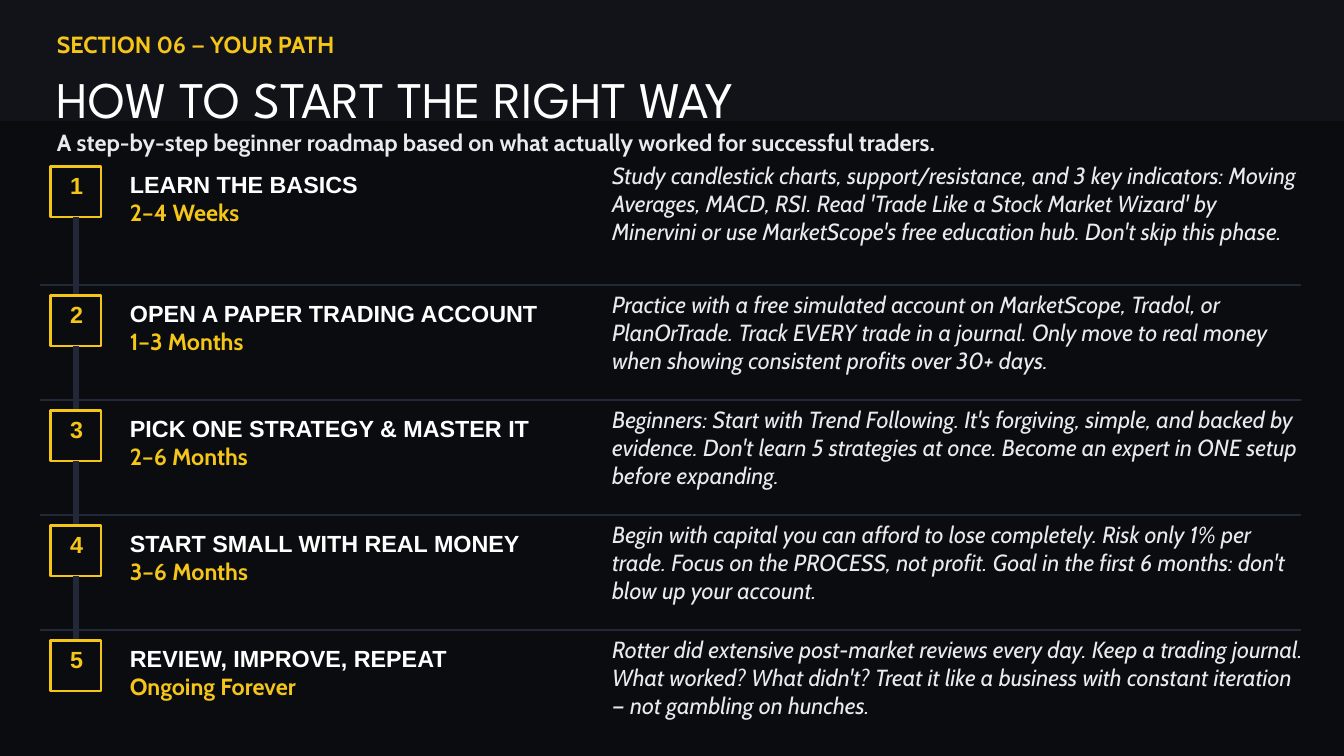
from collections import namedtuple

from lxml import etree
from pptx import Presentation
from pptx.dml.color import RGBColor
from pptx.enum.shapes import MSO_CONNECTOR as Connector, MSO_SHAPE as Shape
from pptx.enum.text import MSO_ANCHOR as Anchor, PP_ALIGN as Align
from pptx.oxml.ns import qn
from pptx.util import Pt

NIGHT = RGBColor(0x0A, 0x0C, 0x10)
BAND = RGBColor(0x11, 0x13, 0x18)
SLATE = RGBColor(0x23, 0x28, 0x38)
GOLD = RGBColor(0xF5, 0xC5, 0x18)
WHITE = RGBColor(0xFF, 0xFF, 0xFF)
MIST = RGBColor(0xE8, 0xEA, 0xF0)

Box = namedtuple("Box", "left top width height")

SLIDE_WIDTH, SLIDE_HEIGHT = 1440, 810
FIRST_STEP_TOP = 178.5
FIRST_STEP_HEIGHT, STEP_HEIGHT = 138.2, 123.2

STEPS = [
    ("LEARN THE BASICS", "2–4 Weeks",
     "Study candlestick charts, support/resistance, and 3 key indicators: Moving "
     "Averages, MACD, RSI. Read 'Trade Like a Stock Market Wizard' by Minervini "
     "or use MarketScope's free education hub. Don't skip this phase."),
    ("OPEN A PAPER TRADING ACCOUNT", "1–3 Months",
     "Practice with a free simulated account on MarketScope, Tradol, or "
     "PlanOrTrade. Track EVERY trade in a journal. Only move to real money "
     "when showing consistent profits over 30+ days."),
    ("PICK ONE STRATEGY & MASTER IT", "2–6 Months",
     "Beginners: Start with Trend Following. It's forgiving, simple, and backed "
     "by evidence. Don't learn 5 strategies at once. Become an expert in ONE "
     "setup before expanding."),
    ("START SMALL WITH REAL MONEY", "3–6 Months",
     "Begin with capital you can afford to lose completely. Risk only 1% per "
     "trade. Focus on the PROCESS, not profit. Goal in the first 6 months: "
     "don't blow up your account."),
    ("REVIEW, IMPROVE, REPEAT", "Ongoing Forever",
     "Rotter did extensive post-market reviews every day. Keep a trading "
     "journal. What worked? What didn't? Treat it like a business with constant "
     "iteration — not gambling on hunches."),
]


def write(frame, text, color, font="Cabin", size=25, spacing=30, bold=False, italic=False):
    frame.word_wrap = True
    frame.margin_left = frame.margin_top = frame.margin_right = frame.margin_bottom = 0
    frame.vertical_anchor = Anchor.TOP
    paragraph = frame.paragraphs[0]
    paragraph.line_spacing = Pt(spacing)
    run = paragraph.add_run()
    run.text = text
    run.font.name = font
    run.font.size = Pt(size)
    run.font.bold = bold
    run.font.italic = italic
    run.font.color.rgb = color
    return paragraph


def add_text(slide, box, text, color, **style):
    shape = slide.shapes.add_textbox(*map(Pt, box))
    write(shape.text_frame, text, color, **style)


def add_rectangle(slide, box, fill, line=None):
    shape = slide.shapes.add_shape(Shape.RECTANGLE, *map(Pt, box))
    shape.shadow.inherit = False
    shape.fill.solid()
    shape.fill.fore_color.rgb = fill
    if line is None:
        shape.line.fill.background()
    else:
        shape.line.color.rgb = line
        shape.line.width = Pt(2.5)
    return shape


def add_line(slide, x1, y1, x2, y2, width):
    line = slide.shapes.add_connector(Connector.STRAIGHT, Pt(x1), Pt(y1), Pt(x2), Pt(y2))
    line.line.color.rgb = SLATE
    line.line.width = Pt(width)
    etree.SubElement(line._element.spPr, qn("a:effectLst"))
    return line


def add_header(slide, box):
    add_rectangle(slide, box, BAND)
    left, top = box.left + 61, box.top
    add_text(slide, Box(left, top + 32.5, 418, 33), "SECTION 06 — YOUR PATH", GOLD, bold=True)
    add_text(slide, Box(left, top + 71.5, 1282, 65), "HOW TO START THE RIGHT WAY", WHITE,
             font="League Spartan", size=55, spacing=66)
    add_text(slide, Box(left, top + 137.5, 958, 33),
             "A step-by-step beginner roadmap based on what actually worked for "
             "successful traders.", MIST, bold=True)


def add_step(slide, box, number, step, incoming, is_last):
    """Draw one step; return the connector that leads on to the next one."""
    title, duration, description = step
    left, top, width, height = box

    # Numbered square, joined to the step above
    side = 54
    square = add_rectangle(slide, Box(left + 10.8, top, side, side), NIGHT, GOLD)
    paragraph = write(square.text_frame, str(number), GOLD, font="Arial", bold=True)
    paragraph.alignment = Align.CENTER
    square.text_frame.margin_top = Pt(5)
    square.text_frame.margin_left = Pt(2)
    if incoming is not None:
        incoming.end_connect(square, 0)

    # Path to the next step
    outgoing = None
    if not is_last:
        center = left + 10.8 + side / 2
        outgoing = add_line(slide, center, top + side, center, top + height, 6.5)
        outgoing.begin_connect(square, 2)

    # Title, duration and description
    text_left = left + 96
    add_text(slide, Box(text_left, top + 3.6, 472, 30), title, WHITE, font="Arial", bold=True)
    add_text(slide, Box(text_left, top + 34.3, 230, 33), duration, GOLD, bold=True)
    add_text(slide, Box(left + 612.7, top - 5.8, 742, 92), description, MIST, italic=True)

    # Divider
    if not is_last:
        divider = top + height - 11.2
        add_line(slide, left, divider, left + width, divider, 2.2)
    return outgoing


def add_steps(slide, box):
    top, connector = box.top, None
    for number, step in enumerate(STEPS, 1):
        height = FIRST_STEP_HEIGHT if number == 1 else STEP_HEIGHT
        connector = add_step(slide, Box(box.left, top, box.width, height), number, step,
                             connector, number == len(STEPS))
        top += height


def main():
    presentation = Presentation()
    presentation.slide_width = Pt(SLIDE_WIDTH)
    presentation.slide_height = Pt(SLIDE_HEIGHT)
    slide = presentation.slides.add_slide(presentation.slide_layouts[6])
    slide.background.fill.solid()
    slide.background.fill.fore_color.rgb = NIGHT

    add_header(slide, Box(0, 0, SLIDE_WIDTH, 129.6))
    add_steps(slide, Box(43.2, FIRST_STEP_TOP, 1351, SLIDE_HEIGHT - FIRST_STEP_TOP))
    presentation.save("out.pptx")


if __name__ == "__main__":
    main()
